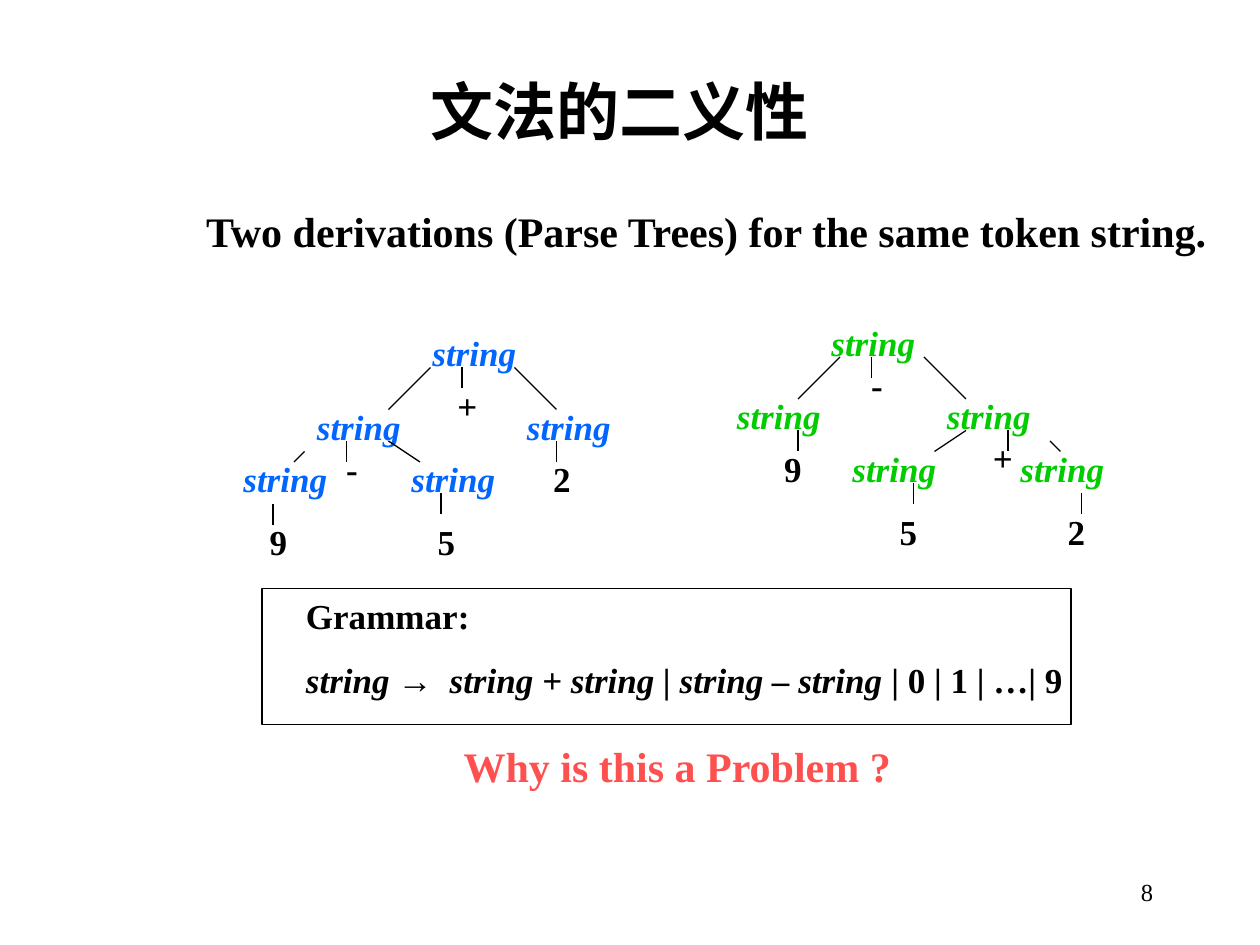
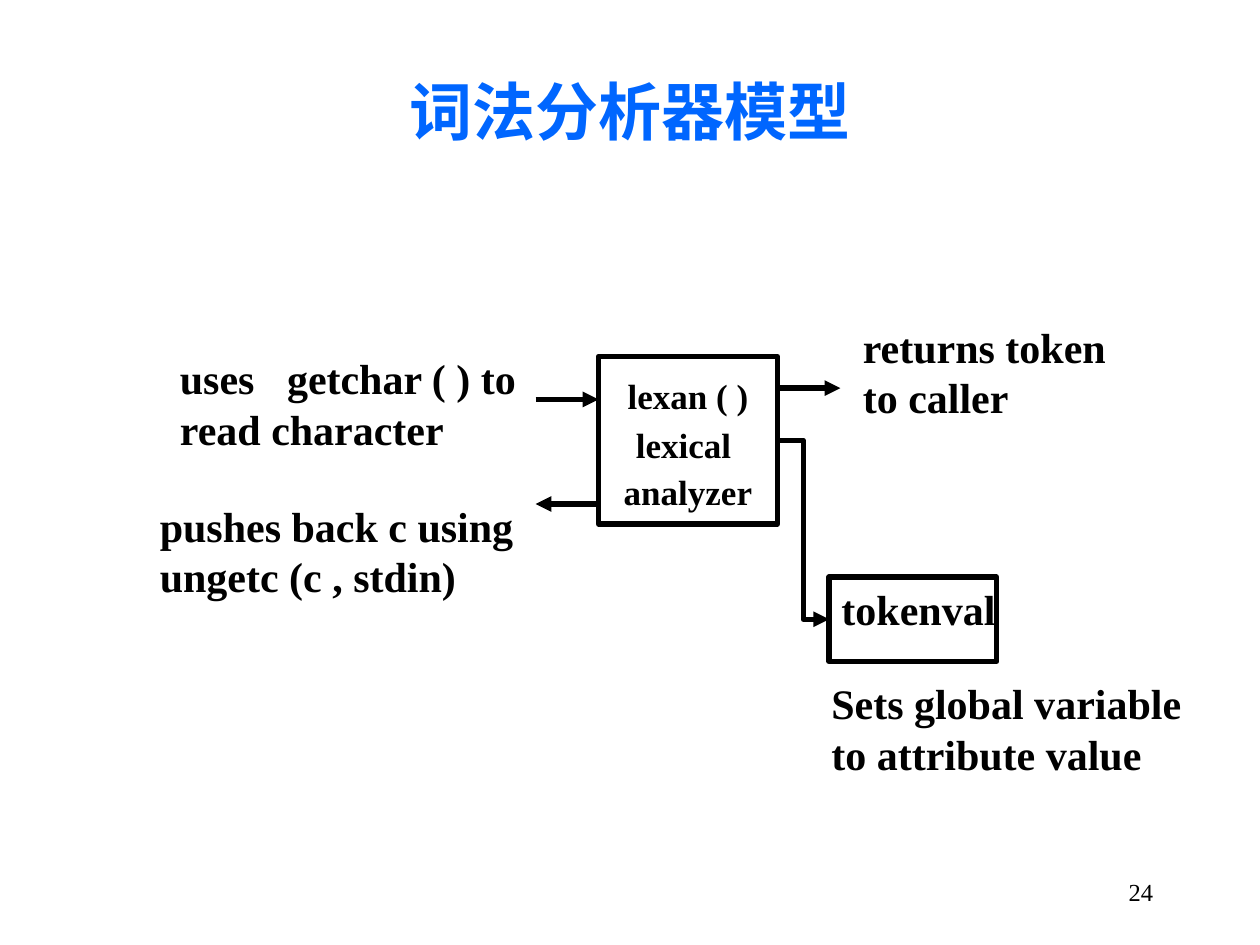
import pptx
import pptx.util
import pptx.dml.color
import pptx.enum.shapes
import pptx.enum.text
import pptx.oxml
import pptx.oxml.ns

Inches = pptx.util.Inches
Pt = pptx.util.Pt
Align = pptx.enum.text.PP_ALIGN
Anchor = pptx.enum.text.MSO_ANCHOR
Link = pptx.enum.shapes.MSO_CONNECTOR
Rect = pptx.enum.shapes.MSO_SHAPE.RECTANGLE

INK = {"black": "000000", "blue": "0066FF", "green": "00CC00", "red": "FF5050"}
SERIF, SANS = "Times New Roman", "Arial"
UNIT = 12

# Tree places are counted in twelfths of an inch.
TREES = [
    {
        "ink": "blue",
        "nodes": [(22, 43), (38, 43), (29, 38), (49, 38), (40, 31)],
        "leaves": [("+", 42, 36), ("2", 51, 43), ("-", 31, 42), ("5", 40, 49), ("9", 24, 49)],
        "stubs": [(26, 48), (44, 35), (33, 42), (42, 47), (53, 42)],
        "limbs": [(49, 35, 53, 39), (37, 39, 41, 35), (37, 42, 40, 44), (29, 43, 28, 44)],
    },
    {
        "ink": "green",
        "nodes": [(96, 42), (80, 42), (89, 37), (69, 37), (78, 30)],
        "leaves": [("-", 81, 34), ("9", 73, 42), ("+", 93, 41), ("5", 84, 48), ("2", 100, 48)],
        "stubs": [(103, 47), (83, 34), (96, 41), (87, 46), (76, 41)],
        "limbs": [(80, 34, 76, 38), (92, 38, 88, 34), (92, 41, 89, 43), (100, 42, 101, 43)],
    },
]

RULE = [
    ("string", {"slant": True}),
    (" ", {"size": 18}),
    ("→", {"face": SANS}),
    ("\t", {}),
    ("string + string | string – string", {"slant": True}),
    (" | 0 | 1 | …| 9", {}),
]

NOTES = [
    ("uses\tgetchar ( ) to read character", (1.33, 2.75, 2.93, 0.9), 0.85),
    ("pushes back c using ungetc (c , stdin)", (1.17, 3.92, 3.03, 0.9), None),
    ("returns token to caller", (6.75, 2.5, 2.17, 0.9), None),
    ("tokenval", (6.58, 4.58, 1.92, 0.5), None),
    ("Sets global variable to attribute value", (6.5, 5.33, 3.03, 0.9), None),
]
LEXAN = ["lexan ( )", "lexical ", "analyzer"]
ARROWS = [(4.25, 3.17, 4.75, 3.17), (4.75, 4, 4.25, 4), (6.17, 3.08, 6.67, 3.08)]


def paint(run, size=20, ink="black", bold=True, slant=False, face=SERIF):
    font = run.font
    font.size, font.bold, font.italic, font.name = Pt(size), bold, slant, face
    font.color.rgb = pptx.dml.color.RGBColor.from_string(INK[ink])


def put(shapes, at, lines, align=Align.LEFT, anchor=Anchor.TOP, wrap=True,
        gap=12.5, tab=None, pack=None, **look):
    box = shapes.add_textbox(*map(Inches, at))
    frame = box.text_frame
    frame.word_wrap, frame.vertical_anchor = wrap, anchor
    for i, line in enumerate(lines):
        para = frame.paragraphs[0] if i == 0 else frame.add_paragraph()
        para.alignment = align
        if tab:
            stops = pptx.oxml.ns.qn("a:tabLst")
            props = para._p.get_or_add_pPr()
            stop = props.makeelement(stops, {})
            stop.append(stop.makeelement(pptx.oxml.ns.qn("a:tab"),
                                         {"pos": str(Inches(tab)), "algn": "l"}))
            props.append(stop)
        if i:
            para.space_before = Pt(gap)
            if pack:
                para.line_spacing = pack
        parts = [(line, {})] if isinstance(line, str) else line
        for text, extra in parts:
            run = para.add_run()
            run.text = text
            paint(run, **{**look, **extra})


def frame_box(shapes, at, width):
    box = shapes.add_shape(Rect, *map(Inches, at))
    box.shadow.inherit = False
    box.fill.background()
    box.line.width = Pt(width)
    box.line.color.rgb = pptx.dml.color.RGBColor.from_string(INK["black"])
    return box


def join(shapes, ends, width=0.75, arrow=False, kind=Link.STRAIGHT):
    link = shapes.add_connector(kind, *map(Inches, ends))
    link.line.width = Pt(width)
    link.line.color.rgb = pptx.dml.color.RGBColor.from_string(INK["black"])
    props = link._element.spPr
    if arrow:
        line = props.find(pptx.oxml.ns.qn("a:ln"))
        line.append(line.makeelement(pptx.oxml.ns.qn("a:tailEnd"), {"type": "triangle"}))
    props.append(props.makeelement(pptx.oxml.ns.qn("a:effectLst"), {}))
    return link


def start(deck, title, left, ink, number):
    shapes = deck.slides.add_slide(deck.slide_layouts[6]).shapes
    put(shapes, (left, 0.25, 8.5, 1.25), [title], Align.CENTER, Anchor.MIDDLE,
        size=36, ink=ink, face=SANS)
    put(shapes, (7.17, 6.83, 2.08, 0.5), [number], Align.RIGHT, Anchor.MIDDLE,
        size=14, bold=False)
    return shapes


def grow(shapes, tree):
    group = shapes.add_group_shape().shapes
    for x, y in tree["nodes"]:
        put(group, (x / UNIT, y / UNIT, 0.92, 0.44), ["string"], ink=tree["ink"], slant=True)
    for text, x, y in tree["leaves"]:
        put(group, (x / UNIT, y / UNIT, 0.42, 0.44), [text], Align.CENTER)
    stubs = [(x, y, x, y + 2) for x, y in tree["stubs"]]
    for ends in stubs + tree["limbs"]:
        join(group, [n / UNIT for n in ends])


def grammar(deck):
    shapes = start(deck, "文法的二义性", 0.67, "black", "8")
    put(shapes, (1.5, 1.58, 8.21, 0.5),
        ["Two derivations (Parse Trees) for the same token string."],
        Align.CENTER, wrap=False, size=24)
    for tree in TREES:
        grow(shapes, tree)
    put(shapes, (2.33, 4.67, 6.25, 0.94), ["Grammar:", RULE], tab=1.14)
    frame_box(shapes, (2.08, 4.67, 6.42, 1.08), 0.75)
    put(shapes, (3, 5.83, 4.75, 0.5), ["Why is this a Problem ?"],
        Align.CENTER, size=24, ink="red")


def lexer(deck):
    shapes = start(deck, "词法分析器模型", 0.75, "blue", "24")
    for text, at, tab in NOTES:
        put(shapes, at, [text], tab=tab, size=24)
    put(shapes, (4.75, 2.92, 1.42, 1.18), LEXAN, Align.CENTER, pack=0.6)
    lexan = frame_box(shapes, (4.75, 2.83, 1.42, 1.33), 3)
    token = frame_box(shapes, (6.58, 4.58, 1.33, 0.67), 3)
    for ends in ARROWS:
        join(shapes, ends, 3, True)
    bend = join(shapes, (6.17, 3.5, 6.58, 4.92), 3, True, Link.ELBOW)
    bend.begin_connect(lexan, 3)
    bend.end_connect(token, 1)


def main():
    deck = pptx.Presentation()
    deck.slide_width, deck.slide_height = Inches(10), Inches(7.5)
    grammar(deck)
    lexer(deck)
    deck.save("out.pptx")


if __name__ == "__main__":
    main()
